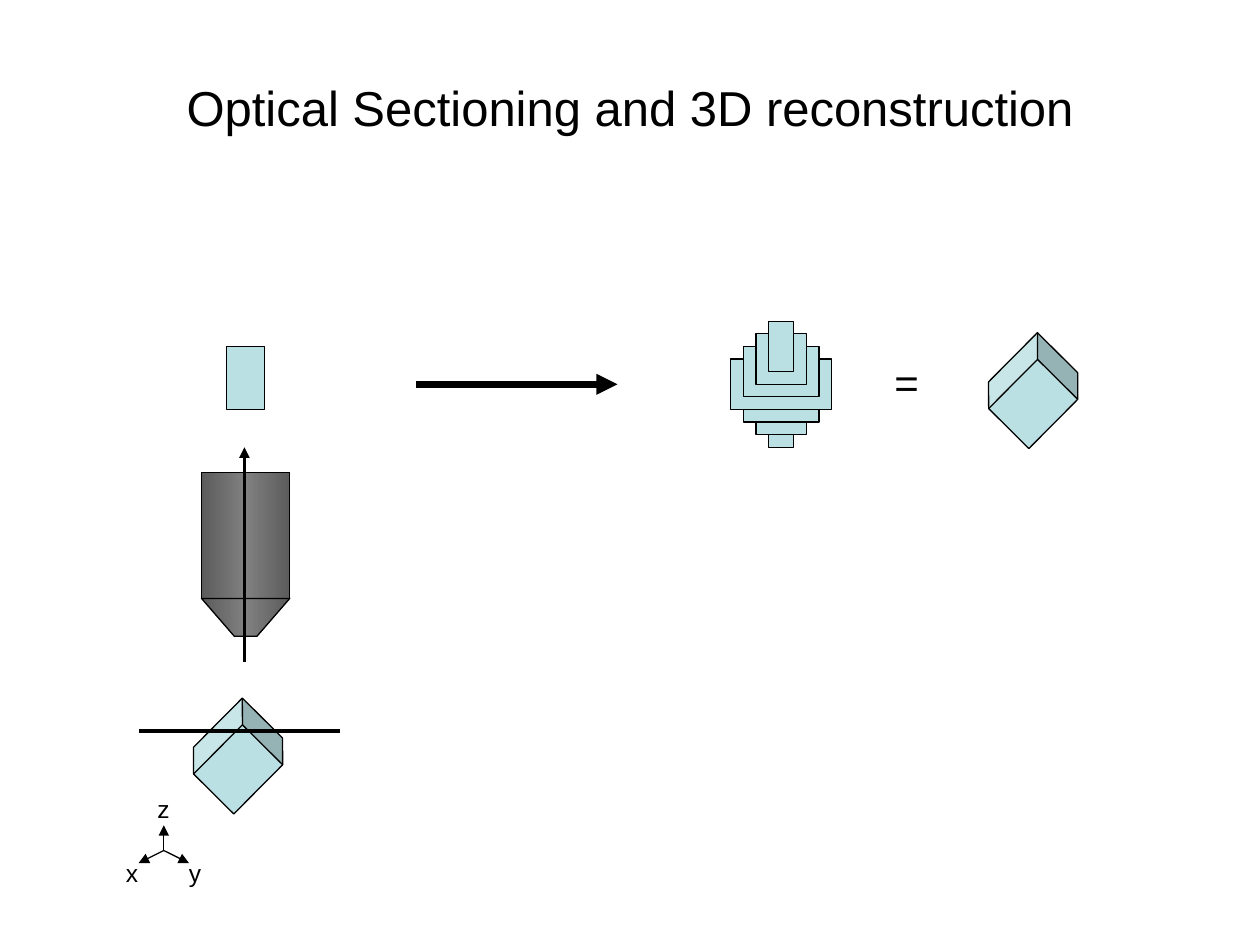
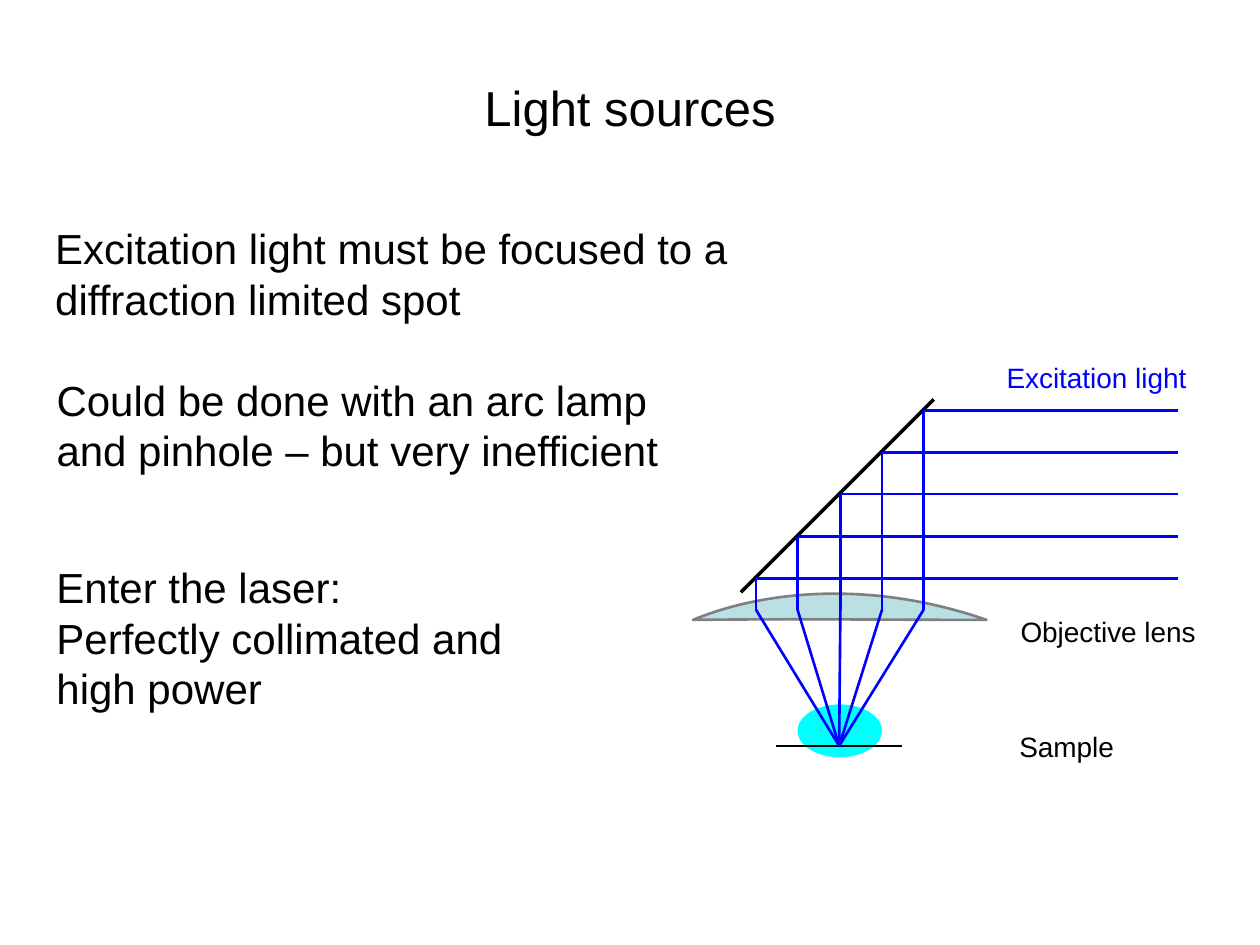
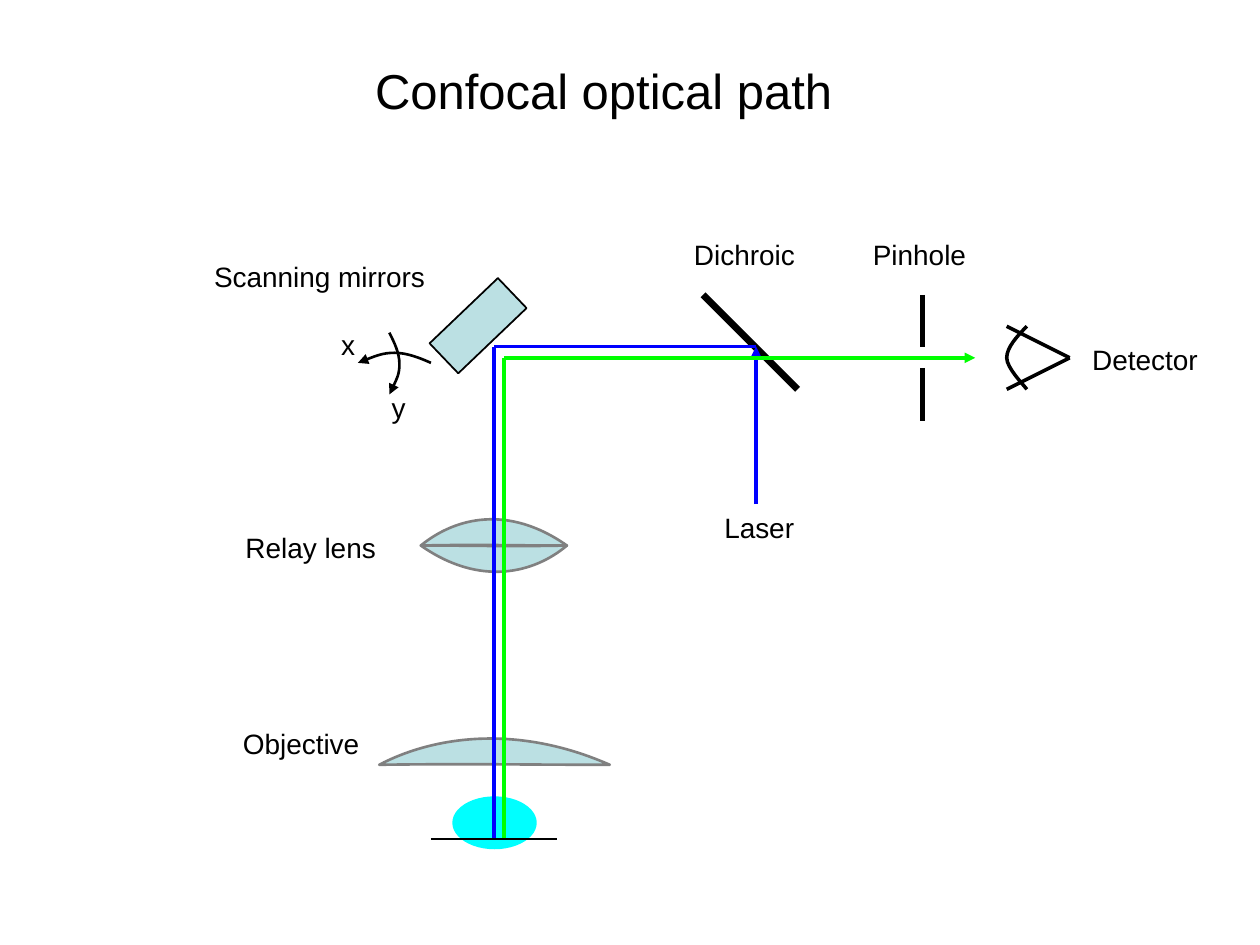
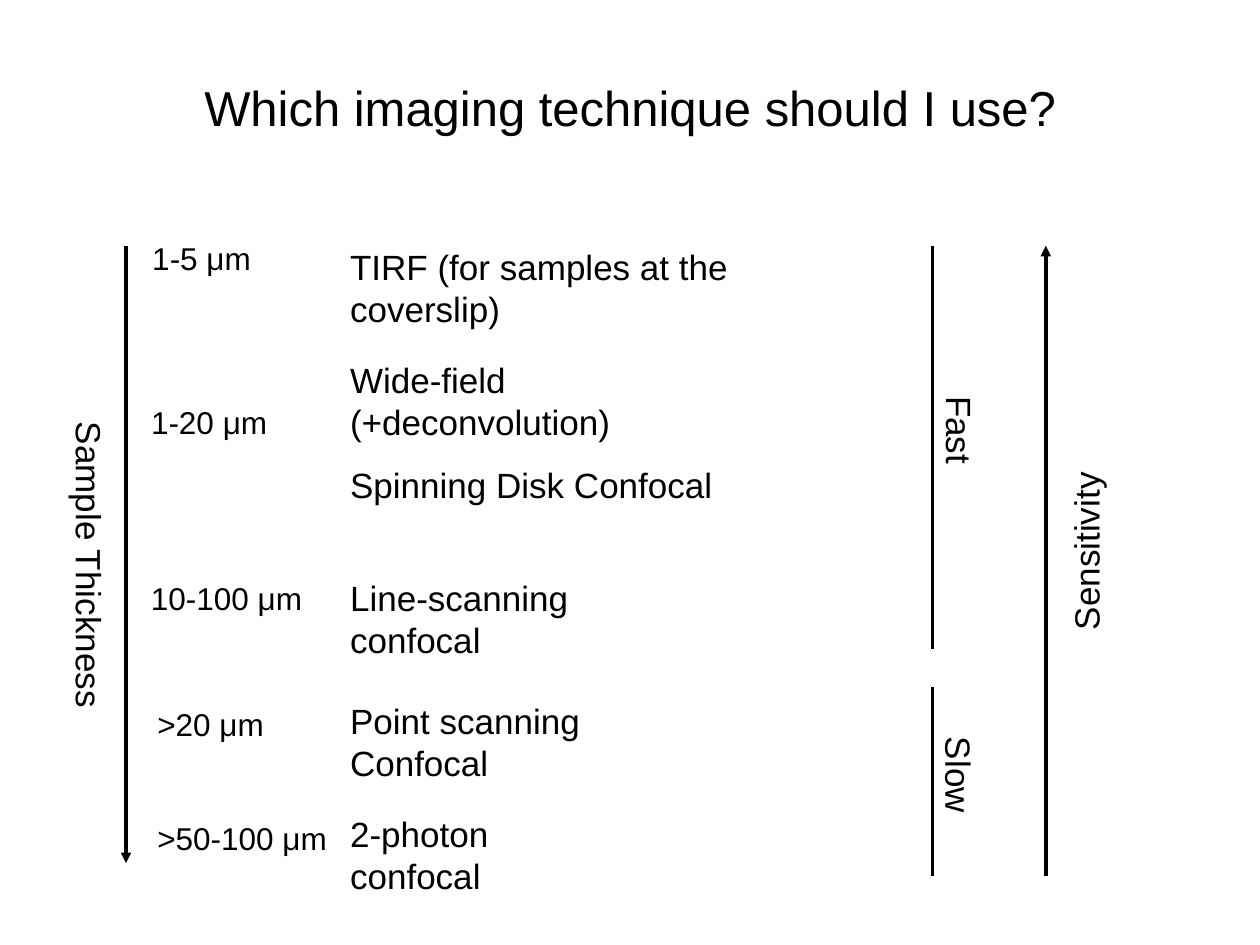
"""Build four slides on confocal microscopy and the choice of imaging technique."""
from copy import deepcopy
from dataclasses import dataclass

from pptx import Presentation
from pptx import util as u
from pptx.dml.color import RGBColor
from pptx.enum import shapes, text
from pptx.oxml import ns, xmlchemy

SCALE = 9144


@dataclass(frozen=True)
class Theme:
    font: str = "Arial"
    black: str = "000000"
    glass: str = "BBE0E3"
    glass_edge: str = "808080"
    specimen: str = "00FFFF"
    excitation: str = "0000FF"
    emission: str = "00FF00"
    metal: tuple = ("5C5C5C", "808080", "5C5C5C")
    title: int = 28
    statement: int = 24
    technique: int = 20
    thickness: int = 18
    label: int = 16
    axis: int = 14
    hairline: float = 0.75
    thin: float = 1
    ray: float = 1.5
    strong: float = 2
    pinhole: float = 3
    heavy: float = 4


THEME = Theme()


def px(*lengths):
    return [u.Emu(round(length * SCALE)) for length in lengths]


def color(value):
    return RGBColor.from_string(value)


def add_label(slide, content, left, top, width, size=THEME.label, ink=THEME.black,
              align=text.PP_ALIGN.LEFT, rotation=0, wrap=False):
    lines = 1 + content.count("\n") + content.count("\v")
    height = round(lines * size * 120 / 72 + 10)
    box = slide.shapes.add_textbox(*px(left, top, width, height))
    box.rotation = rotation
    frame = box.text_frame
    frame.text = content
    frame.word_wrap = wrap
    if not wrap:
        frame.auto_size = text.MSO_AUTO_SIZE.SHAPE_TO_FIT_TEXT
    for paragraph in frame.paragraphs:
        paragraph.alignment = align
        for run in paragraph.runs:
            run.font.name = THEME.font
            run.font.size = u.Pt(size)
            run.font.color.rgb = color(ink)
    return box


def add_title(slide, content):
    box = add_label(slide, content, 75, 43, 850, THEME.title,
                    align=text.PP_ALIGN.CENTER, wrap=True)
    box.height = px(83)[0]
    box.text_frame.vertical_anchor = text.MSO_ANCHOR.MIDDLE


def style_line(shape, ink, width, arrow=False):
    shape.line.color.rgb = color(ink)
    shape.line.width = u.Pt(width)
    if arrow:
        outline = shape.element.spPr.find(ns.qn("a:ln"))
        outline.append(xmlchemy.OxmlElement("a:tailEnd"))
        outline[-1].set("type", "triangle")


def add_line(slide, start, end, ink=THEME.black, width=THEME.strong, arrow=False):
    connector = slide.shapes.add_connector(shapes.MSO_CONNECTOR.STRAIGHT, *px(*start, *end))
    style_line(connector, ink, width, arrow)
    connector.element.spPr.append(xmlchemy.OxmlElement("a:effectLst"))


def style_shape(shape, fill, edge, width, arrow=False):
    shape.shadow.inherit = False
    if fill:
        shape.fill.solid()
        shape.fill.fore_color.rgb = color(fill)
    else:
        shape.fill.background()
    if edge:
        style_line(shape, edge, width, arrow)
    else:
        shape.line.fill.background()


def add_solid(slide, kind, left, top, width, height, fill=THEME.glass,
              edge=THEME.black, line_width=THEME.hairline, rotation=0):
    shape = slide.shapes.add_shape(kind, *px(left, top, width, height))
    shape.rotation = rotation
    style_shape(shape, fill, edge, line_width)
    return shape


def add_rectangle(slide, *frame, **options):
    return add_solid(slide, shapes.MSO_SHAPE.RECTANGLE, *frame, **options)


def add_cube(slide, left, top):
    add_solid(slide, shapes.MSO_SHAPE.CUBE, left, top, 70, 60, rotation=314.8)


def add_outline(slide, points, close):
    builder = slide.shapes.build_freeform(*points[0], scale=SCALE)
    builder.add_line_segments(points[1:], close=close)
    return builder.convert_to_shape()


def add_curve(slide, points, fill=None, edge=THEME.black, width=THEME.ray, arrow=False):
    shape = add_outline(slide, points, close=False)
    segments = list(shape.element.iter(ns.qn("a:lnTo")))
    for first, *others in zip(segments[::3], segments[1::3], segments[2::3]):
        bezier = xmlchemy.OxmlElement("a:cubicBezTo")
        first.addprevious(bezier)
        for segment in (first, *others):
            bezier.append(segment[0])
            segment.getparent().remove(segment)
    style_shape(shape, fill, edge, width, arrow)


def add_lens(slide, points):
    add_curve(slide, points, THEME.glass, THEME.glass_edge)


def add_specimen(slide, left, top):
    add_solid(slide, shapes.MSO_SHAPE.OVAL, left, top, 67, 42, THEME.specimen, None)


def apply_metal(shape):
    shape.fill.gradient()
    shape.fill.gradient_angle = 0
    stops = next(shape.element.iter(ns.qn("a:gsLst")))
    stops.append(deepcopy(stops[0]))
    for index, stop in enumerate(shape.fill.gradient_stops):
        stop.color.rgb = color(THEME.metal[index])
        stop.position = index / 2


def add_objective_barrel(slide):
    apply_metal(add_rectangle(slide, 160, 375, 70, 100))
    nose = add_outline(slide, [(160, 475), (186, 505), (204, 505), (230, 475)], close=True)
    style_shape(nose, THEME.metal[0], THEME.black, THEME.hairline)
    apply_metal(nose)


def build_sectioning(slide):
    add_title(slide, "Optical Sectioning and 3D reconstruction")
    for index in range(7):
        width = 20 * (4 - abs(3 - index))
        add_rectangle(slide, 620 - width // 2, 315 - 10 * index, width, 40)
    add_objective_barrel(slide)
    add_line(slide, (194, 525), (194, 355), arrow=True)
    add_cube(slide, 154, 570)
    add_rectangle(slide, 180, 275, 30, 50)
    add_line(slide, (110, 580), (270, 580))
    for name, tip, left, top in (("z", (130, 655), 115, 625), ("x", (110, 685), 90, 676),
                                 ("y", (150, 685), 140, 676)):
        add_line(slide, (130, 675), tip, width=THEME.hairline, arrow=True)
        add_label(slide, name, left, top, 30, THEME.axis)
    add_line(slide, (330, 305), (490, 305), width=THEME.heavy, arrow=True)
    add_cube(slide, 785, 280)
    add_label(slide, "=", 700, 278, 40, THEME.statement)


def build_light_sources(slide):
    add_title(slide, "Light sources")
    add_lens(slide, [(550, 492), (647, 491), (688, 492), (783, 492),
                     (688, 459), (603, 470), (550, 492)])
    add_specimen(slide, 633, 559)
    add_label(slide, "Sample", 799, 574, 95, align=text.PP_ALIGN.RIGHT)
    add_label(slide, "Objective lens", 799, 483, 160, align=text.PP_ALIGN.RIGHT)
    add_label(slide, "Excitation light", 789, 281, 163, ink=THEME.excitation)
    add_line(slide, (616, 592), (716, 592), width=THEME.thin)
    add_line(slide, (588, 470), (741, 317))
    for index in range(5):
        column = round(600 + index * 100 / 3)
        corners = [(935, 1059 - column), (column, 1059 - column), (column, 484), (666, 592)]
        for start, end in zip(corners, corners[1:]):
            add_line(slide, start, end, THEME.excitation, THEME.ray)
    for content, left, top, width in (
            ("Excitation light must be focused to a\vdiffraction limited spot", 34, 172, 554),
            ("Could be done with an arc lamp\vand pinhole – but very inefficient", 35, 292, 499),
            ("Enter the laser:\nPerfectly collimated and \vhigh power", 35, 441, 384)):
        add_label(slide, content, left, top, width, THEME.statement)


def add_detector_eye(slide):
    for lid in (259, 309):
        add_line(slide, (849, 284), (799, lid))
    add_curve(slide, [(815, 259), (807, 267), (799, 276), (799, 284),
                      (799, 292), (812, 305), (815, 309)], width=THEME.strong)


def build_confocal(slide):
    add_specimen(slide, 359, 632)
    add_label(slide, "Confocal optical path", 287, 43, 384, THEME.title,
              align=text.PP_ALIGN.CENTER)
    add_line(slide, (342, 666), (442, 666), width=THEME.thin)
    add_lens(slide, [(301, 607), (377, 606), (409, 607), (484, 607),
                     (409, 574), (343, 585), (301, 607)])
    add_lens(slide, [(334, 433), (383, 432), (403, 433), (450, 433),
                     (403, 400), (361, 411), (334, 433)])
    add_lens(slide, [(450, 433), (402, 434), (381, 433), (334, 433),
                     (381, 466), (424, 455), (450, 433)])
    add_rectangle(slide, 342, 242, 75, 33, line_width=THEME.thin, rotation=316.3)
    add_curve(slide, [(342, 288), (333, 284), (323, 280), (313, 280),
                      (304, 280), (294, 284), (284, 288)], arrow=True)
    add_curve(slide, [(309, 264), (313, 272), (317, 280), (317, 289),
                      (317, 297), (313, 305), (309, 313)], arrow=True)
    add_line(slide, (392, 665), (392, 275), THEME.excitation)
    add_line(slide, (558, 234), (633, 309), width=THEME.heavy)
    add_line(slide, (392, 275), (600, 275), THEME.excitation)
    add_line(slide, (600, 400), (600, 275), THEME.excitation, arrow=True)
    add_line(slide, (400, 665), (400, 284), THEME.emission)
    add_line(slide, (400, 284), (774, 284), THEME.emission, arrow=True)
    for top, bottom in ((234, 275), (292, 334)):
        add_line(slide, (732, top), (732, bottom), width=THEME.pinhole)
    add_detector_eye(slide)
    for content, left, top, width in (
            ("Objective", 183, 572, 113), ("x", 261, 255, 31), ("y", 301, 305, 31),
            ("Relay lens", 185, 416, 124), ("Laser", 565, 400, 76),
            ("Scanning mirrors", 160, 201, 188), ("Dichroic", 541, 184, 100),
            ("Pinhole", 683, 184, 94), ("Detector", 857, 267, 104)):
        add_label(slide, content, left, top, width)


def build_techniques(slide):
    add_title(slide, "Which imaging technique should I use?")
    for start, end, arrow in (((100, 195), (100, 685), True), ((830, 695), (830, 195), True),
                              ((740, 195), (740, 515), False), ((740, 545), (740, 695), False)):
        add_line(slide, start, end, arrow=arrow)
    for content, left, top, width, rotation in (
            ("Sample Thickness", -52, 427, 247, 90), ("Sensitivity", 789, 416, 145, 270),
            ("Fast", 725, 320, 74, 90), ("Slow", 721, 594, 81, 90)):
        add_label(slide, content, left, top, width, THEME.technique, rotation=rotation)
    for content, top, width in (
            ("TIRF (for samples at the coverslip)", 190, 440),
            ("Wide-field (+deconvolution)", 280, 350), ("Spinning Disk Confocal", 363, 312),
            ("Line-scanning confocal", 453, 295), ("Point scanning Confocal", 550, 310),
            ("2-photon confocal", 640, 235)):
        add_label(slide, content, 268, top, width, THEME.technique, wrap=True)
    for content, left, top, width in (
            ("1-5 μm", 111, 185, 98), ("1-20 μm", 110, 315, 112), ("10-100 μm", 110, 455, 140),
            (">20 μm", 115, 555, 105), (">50-100 μm", 115, 645, 155)):
        add_label(slide, content, left, top, width, THEME.thickness)


def main():
    presentation = Presentation()
    presentation.slide_width, presentation.slide_height = px(1000, 750)
    for build in (build_sectioning, build_light_sources, build_confocal, build_techniques):
        build(presentation.slides.add_slide(presentation.slide_layouts[6]))
    presentation.save("out.pptx")


if __name__ == "__main__":
    main()
